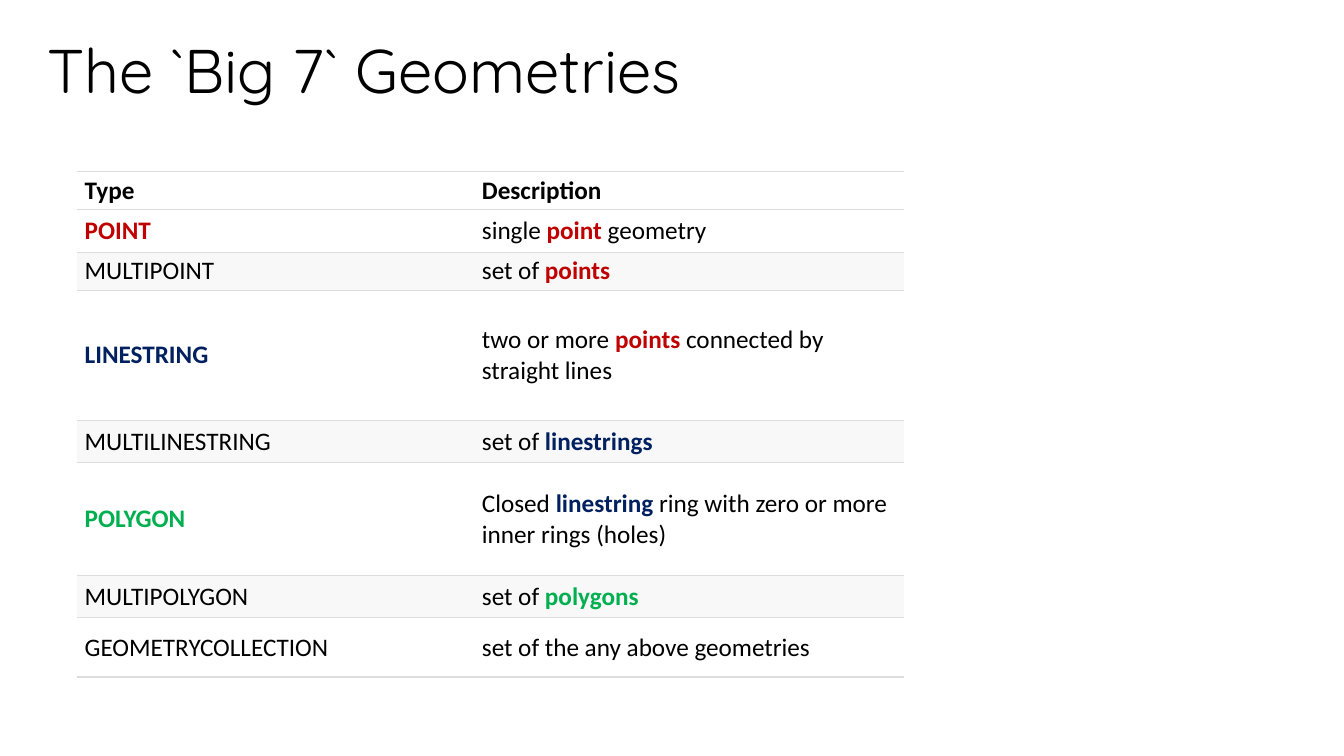
import pptx
import pptx.dml.color
import pptx.enum.text
import pptx.oxml
import pptx.oxml.ns
import pptx.util
from dataclasses import dataclass

Inches = pptx.util.Inches
MIDDLE = pptx.enum.text.MSO_ANCHOR.MIDDLE


@dataclass(frozen=True)
class Theme:
    title_font: str = "Quicksand"
    body_font: str = "Calibri"
    title_size: int = 44
    body_size: int = 18
    text: str = "000000"
    point: str = "C00000"
    line: str = "002060"
    polygon: str = "00B050"
    plain_fill: str = "FFFFFF"
    band_fill: str = "F8F8F8"
    rule: str = "DDDDDD"
    rule_width: float = 0.75
    last_rule_width: float = 1.5


THEME = Theme()
COLUMN_WIDTHS = [3.94, 4.27]
GEOMETRIES = [
    (0.25, [("Type", THEME.text)], [("Description", THEME.text)]),
    (0.42, [("POINT", THEME.point)],
     ["single ", ("point", THEME.point), " geometry"]),
    (0.25, ["MULTIPOINT"], ["set of ", ("points", THEME.point)]),
    (1.29, [("LINESTRING", THEME.line)],
     ["two or more ", ("points", THEME.point), " connected by straight lines"]),
    (0.42, ["MULTILINESTRING"], ["set of ", ("linestrings", THEME.line)]),
    (1.12, [("POLYGON", THEME.polygon)],
     ["Closed ", ("linestring", THEME.line),
      " ring with zero or more inner rings (holes)"]),
    (0.42, ["MULTIPOLYGON"], ["set of ", ("polygons", THEME.polygon)]),
    (0.59, ["GEOMETRYCOLLECTION"], ["set of the any above geometries"]),
]


def rgb(value):
    return pptx.dml.color.RGBColor.from_string(value)


class SlideBuilder:
    def __init__(self, slide, theme):
        self.slide = slide
        self.theme = theme

    def title(self, text, left, top, width, height):
        box = self.slide.shapes.add_textbox(
            Inches(left), Inches(top), Inches(width), Inches(height))
        frame = box.text_frame
        frame.word_wrap = True
        frame.vertical_anchor = MIDDLE
        paragraph = frame.paragraphs[0]
        paragraph.text = text
        paragraph.line_spacing = 0.9
        paragraph.font.name = self.theme.title_font
        paragraph.font.size = pptx.util.Pt(self.theme.title_size)
        paragraph.font.color.rgb = rgb(self.theme.text)

    def table(self, rows, column_widths, left, top):
        height = sum(row[0] for row in rows)
        table = self.slide.shapes.add_table(
            len(rows), len(column_widths), Inches(left), Inches(top),
            Inches(sum(column_widths)), Inches(height)).table
        table.first_row = False
        table.horz_banding = False
        for column, width in zip(table.columns, column_widths):
            column.width = Inches(width)
        for index, (row_height, *contents) in enumerate(rows):
            table.rows[index].height = Inches(row_height)
            banded = index > 0 and index % 2 == 0
            fill = self.theme.band_fill if banded else self.theme.plain_fill
            last = index == len(rows) - 1
            bottom = self.theme.last_rule_width if last else self.theme.rule_width
            for column_index, runs in enumerate(contents):
                self.cell(table.cell(index, column_index), runs, fill, bottom)

    def cell(self, cell, runs, fill, bottom_width):
        cell.vertical_anchor = MIDDLE
        cell.margin_left = cell.margin_right = Inches(0.08)
        cell.margin_top = cell.margin_bottom = Inches(0.04)
        cell.fill.solid()
        cell.fill.fore_color.rgb = rgb(fill)
        self.borders(cell, bottom_width)
        paragraph = cell.text_frame.paragraphs[0]
        paragraph.font.name = self.theme.body_font
        paragraph.font.size = pptx.util.Pt(self.theme.body_size)
        for item in runs:
            emphasized = isinstance(item, tuple)
            text, color = item if emphasized else (item, self.theme.text)
            run = paragraph.add_run()
            run.text = text
            run.font.bold = emphasized
            run.font.color.rgb = rgb(color)

    def borders(self, cell, bottom_width):
        properties = cell._tc.get_or_add_tcPr()
        namespace = pptx.oxml.ns.nsdecls("a")
        solid = f'<a:solidFill><a:srgbClr val="{self.theme.rule}"/></a:solidFill>'
        edges = [("lnL", 0), ("lnR", 0),
                 ("lnT", self.theme.rule_width), ("lnB", bottom_width)]
        for position, (tag, width) in enumerate(edges):
            paint = solid if width else "<a:noFill/>"
            properties.insert(position, pptx.oxml.parse_xml(
                f'<a:{tag} {namespace} w="{pptx.util.Pt(width)}">{paint}</a:{tag}>'))


def main():
    presentation = pptx.Presentation()
    presentation.slide_width = Inches(13.33)
    presentation.slide_height = Inches(7.5)
    slide = presentation.slides.add_slide(presentation.slide_layouts[6])
    builder = SlideBuilder(slide, THEME)
    builder.title("The `Big 7` Geometries", 0.37, 0, 11.5, 1.45)
    builder.table(GEOMETRIES, COLUMN_WIDTHS, 0.76, 1.7)
    presentation.save("out.pptx")


if __name__ == "__main__":
    main()
